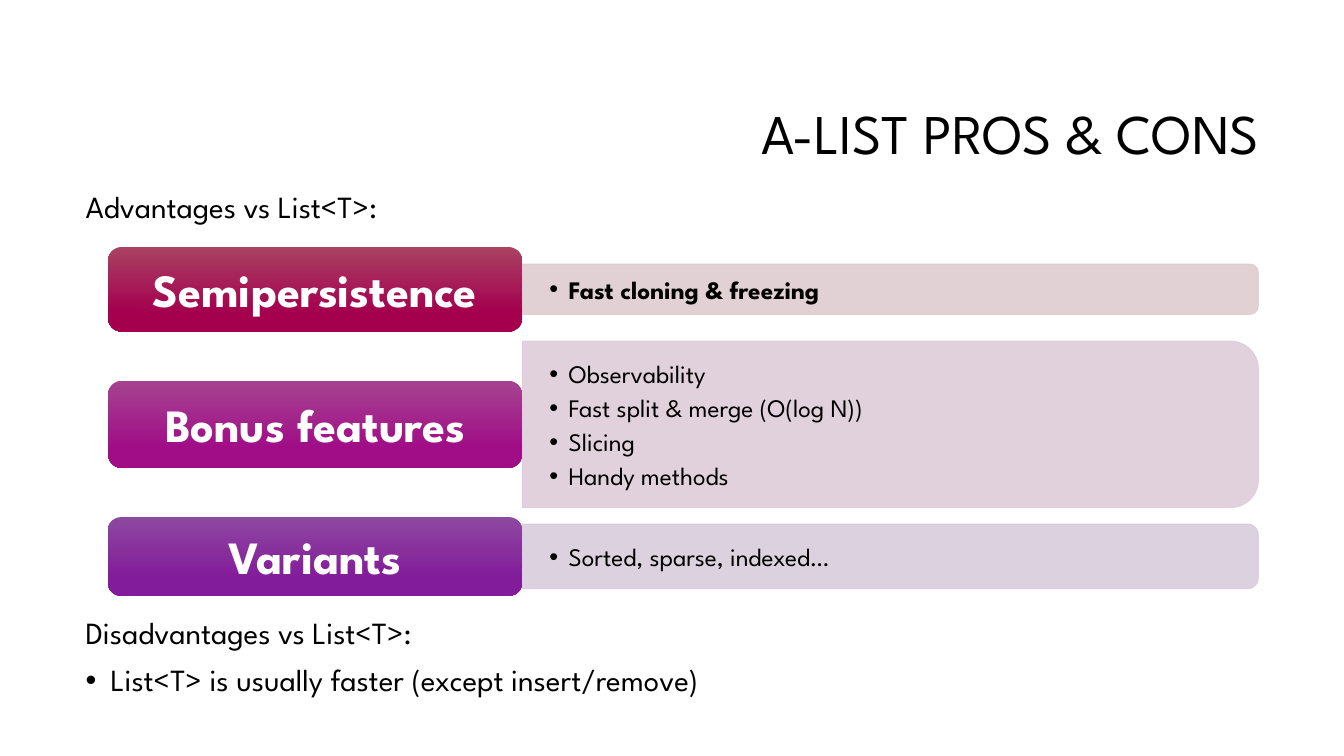
from dataclasses import dataclass

from lxml.etree import SubElement
from pptx import Presentation
from pptx.dml.color import RGBColor
from pptx.enum.shapes import MSO_SHAPE as Shape
from pptx.enum.text import MSO_ANCHOR as Anchor, PP_ALIGN as Align
from pptx.oxml.ns import qn
from pptx.util import Inches, Pt


@dataclass(frozen=True)
class Theme:
    """Colours, font and type sizes of the slide."""
    font: str = "League Spartan"
    ink: str = "000000"
    light: str = "FFFFFF"
    title: int = 40
    body: int = 22
    label: int = 33
    detail: int = 18


@dataclass(frozen=True)
class Feature:
    """One advantage: its label, its bullets, its colours and its heights."""
    label: str
    bullets: tuple
    middle: float
    label_height: float
    panel_height: float
    top_colour: str
    base_colour: str
    panel_colour: str
    bold: bool = False


THEME = Theme()
LABEL_WIDTH = 4.11
FEATURES = (
    Feature("Semipersistence", ("Fast cloning & freezing",), 2.87, 0.84, 0.5,
            "A94263", "A4004E", "DFCCD0", True),
    Feature("Bonus features",
            ("Observability", "Fast split & merge (O(log N))", "Slicing", "Handy methods"),
            4.21, 0.87, 1.65, "A54390", "A00D87", "DDCDD9"),
    Feature("Variants", ("Sorted, sparse, indexed…",), 5.52, 0.78, 0.64,
            "8D48A0", "831C9A", "D8CDDC"),
)


def add_span(para, text, size, colour=THEME.ink, bold=False):
    """Add one formatted run to a paragraph."""
    span = para.add_run()
    span.text = text
    span.font.name = THEME.font
    span.font.size = Pt(size)
    span.font.bold = bold
    span.font.color.rgb = RGBColor.from_string(colour)


def add_bullet(para, indent):
    """Give a paragraph a round bullet with a hanging indent."""
    properties = para._p.get_or_add_pPr()
    properties.set("marL", str(Inches(indent)))
    properties.set("indent", str(-Inches(indent)))
    SubElement(properties, qn("a:buFont"), typeface="Arial")
    SubElement(properties, qn("a:buChar"), char="•")


def next_para(frame, index):
    """Return the first paragraph of a frame, or a new one after it."""
    return frame.add_paragraph() if index else frame.paragraphs[0]


def add_title(page, text, left, top, width, height):
    """Place the slide title, right-aligned in its box."""
    title = page.shapes.title
    title.left, title.top = Inches(left), Inches(top)
    title.width, title.height = Inches(width), Inches(height)
    frame = title.text_frame
    frame.vertical_anchor = Anchor.MIDDLE
    para = frame.paragraphs[0]
    para.alignment = Align.RIGHT
    para.line_spacing = 0.9
    add_span(para, text, THEME.title)


def add_body(page, heading, points, left, top, width, height):
    """Write a heading followed by its bulleted points."""
    box = page.shapes.add_textbox(Inches(left), Inches(top), Inches(width), Inches(height))
    frame = box.text_frame
    frame.word_wrap = True
    for index, text in enumerate((heading, *points)):
        para = next_para(frame, index)
        para.line_spacing = 0.9
        para.space_before = Pt(10)
        if index:
            add_bullet(para, 0.25)
        add_span(para, text, THEME.body)


def add_panel(page, feature, left, width):
    """Draw the pale panel, rounded on its right side, with its bullets."""
    height = feature.panel_height
    panel = page.shapes.add_shape(
        Shape.ROUND_2_SAME_RECTANGLE,
        Inches(left + (width - height) / 2), Inches(feature.middle - width / 2),
        Inches(height), Inches(width))
    panel.rotation = 90
    panel.shadow.inherit = False
    panel.line.width = Pt(0.75)
    panel.fill.solid()
    for paint in (panel.fill, panel.line.fill):
        paint.solid()
        paint.fore_color.rgb = RGBColor.from_string(feature.panel_colour)
    for colour in panel._element.spPr.iter(qn("a:srgbClr")):
        SubElement(colour, qn("a:alpha"), val="90000")

    box = page.shapes.add_textbox(Inches(left), Inches(feature.middle - height / 2),
                                  Inches(width), Inches(height))
    frame = box.text_frame
    frame.word_wrap = True
    frame.vertical_anchor = Anchor.MIDDLE
    frame.margin_left = frame.margin_right = Inches(0.27)
    frame.margin_top = frame.margin_bottom = Inches(0.05)
    for index, text in enumerate(feature.bullets):
        para = next_para(frame, index)
        para.space_after = Pt(2.7)
        add_bullet(para, 0.19)
        add_span(para, text, THEME.detail, bold=feature.bold)


def add_label(page, feature, left, width):
    """Draw the gradient label of a feature."""
    height = feature.label_height
    label = page.shapes.add_shape(
        Shape.ROUNDED_RECTANGLE, Inches(left), Inches(feature.middle - height / 2),
        Inches(width), Inches(height))
    label.shadow.inherit = False
    label.line.fill.background()
    label.fill.gradient()
    label.fill.gradient_angle = 270
    stops = ((0, feature.top_colour), (0.78, feature.base_colour))
    for stop, (position, colour) in zip(label.fill.gradient_stops, stops):
        stop.position = position
        stop.color.rgb = RGBColor.from_string(colour)
    frame = label.text_frame
    frame.word_wrap = True
    frame.vertical_anchor = Anchor.MIDDLE
    para = frame.paragraphs[0]
    para.alignment = Align.CENTER
    add_span(para, feature.label, THEME.label, THEME.light, True)


def add_features(page, features, left, width):
    """Stack the features, each a label beside its panel."""
    for feature in features:
        add_panel(page, feature, left + LABEL_WIDTH, width - LABEL_WIDTH)
        add_label(page, feature, left, LABEL_WIDTH)


def main():
    """Build the slide and save the deck."""
    deck = Presentation()
    deck.slide_width, deck.slide_height = Inches(13.33), Inches(7.5)
    page = deck.slides.add_slide(deck.slide_layouts[5])
    add_title(page, "A-LIST PROS & CONS", 3.17, 0.84, 9.42, 1.02)
    add_body(page, "Advantages vs List<T>:", (), 0.75, 1.86, 11.83, 0.5)
    add_features(page, FEATURES, 1.07, 11.41)
    add_body(page, "Disadvantages vs List<T>:",
             ("List<T> is usually faster (except insert/remove)",), 0.75, 6.08, 11.83, 1.11)
    deck.save("out.pptx")


if __name__ == "__main__":
    main()
